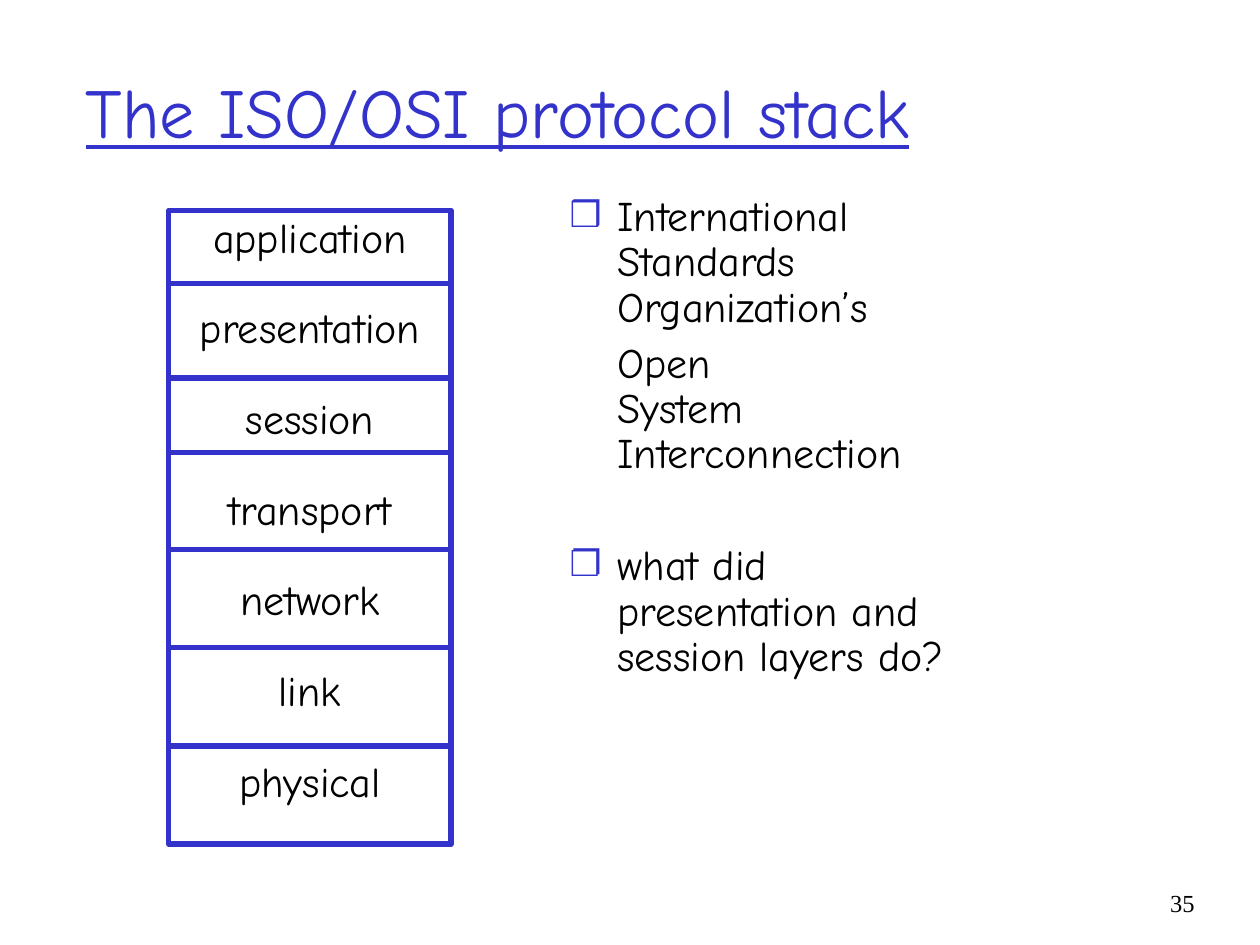
import pptx
import pptx.util
import pptx.dml.color
import pptx.enum.shapes
import pptx.enum.text
import lxml.etree

TITLE = "The ISO/OSI protocol stack"
LAYERS = ["application", "presentation", "session", "transport",
          "network", "link", "physical"]
# text, bullet, space before in points
NOTES = [
    ("International Standards Organization’s", "❒", 0),
    ("Open", None, 6),
    ("System Interconnection", None, 0),
    ("what did presentation and session layers do?", "❐", 38),
]
PAGE_NUMBER = "35"

BLUE, BLACK, WHITE = "3333CC", "000000", "FFFFFF"
HAND = "Comic Neue"
HANG = 0.38
LINE_PITCH = 25.9  # height of one 24 pt line at 0.9 spacing
STACK = (1.34, 1.67, 2.24, 5.03)
DIVIDERS = [2.25, 3, 3.59, 4.36, 5.14, 5.92]
ALIGN = pptx.enum.text.PP_ALIGN


def color(code):
    return pptx.dml.color.RGBColor.from_string(code)


def inches(*lengths):
    return [pptx.util.Inches(length) for length in lengths]


def place(shape, box, anchor=pptx.enum.text.MSO_ANCHOR.TOP):
    shape.left, shape.top, shape.width, shape.height = inches(*box)
    frame = shape.text_frame
    frame.word_wrap = True
    frame.auto_size = pptx.enum.text.MSO_AUTO_SIZE.NONE
    frame.vertical_anchor = anchor
    return frame


def write(frame, text, size=24, font=HAND, ink=BLACK, align=ALIGN.LEFT,
          underline=None, spacing=0.9, before=0, bullet=None, hang=0):
    paragraph = frame.paragraphs[0]
    if paragraph.runs:
        paragraph = frame.add_paragraph()
    properties = paragraph._p.get_or_add_pPr()
    properties.set("marL", str(pptx.util.Inches(hang)))
    properties.set("indent", str(-pptx.util.Inches(hang) if bullet else 0))

    def add(parent, tag, **attributes):
        return lxml.etree.SubElement(parent, pptx.oxml.ns.qn(tag), attributes)

    if bullet:
        add(add(properties, "a:buClr"), "a:srgbClr", val=BLUE)
        add(properties, "a:buSzPct", val="85000")
        add(properties, "a:buChar", char=bullet)
    else:
        add(properties, "a:buNone")
    paragraph.alignment = align
    paragraph.line_spacing = spacing
    paragraph.space_before = pptx.util.Pt(before)
    run = paragraph.add_run()
    run.text = text
    run.font.size = pptx.util.Pt(size)
    run.font.name = font
    run.font.underline = underline
    run.font.color.rgb = color(ink)


def outline(shape):
    shape.line.color.rgb = color(BLUE)
    shape.line.width = pptx.util.Pt(3)


deck = pptx.Presentation()
deck.slide_width, deck.slide_height = inches(10, 7.5)
slide = deck.slides.add_slide(deck.slide_layouts[3])
title, layer_names, notes = slide.placeholders

# Title
heading = place(title, (0.58, 0.25, 8.5, 1.25), pptx.enum.text.MSO_ANCHOR.MIDDLE)
write(heading, TITLE, size=40, ink=BLUE, underline=True, spacing=1.0)

# Stack outline and dividers
stack = slide.shapes.add_shape(pptx.enum.shapes.MSO_SHAPE.RECTANGLE, *inches(*STACK))
stack.shadow.inherit = False
stack.fill.solid()
stack.fill.fore_color.rgb = color(WHITE)
outline(stack)
for y in DIVIDERS:
    divider = slide.shapes.add_connector(
        pptx.enum.shapes.MSO_CONNECTOR.STRAIGHT,
        *inches(STACK[0], y, STACK[0] + STACK[2], y))
    outline(divider)
    lxml.etree.SubElement(divider.element.spPr, pptx.oxml.ns.qn("a:effectLst"))

# Layer names, in front of the stack, one line apart
stack.element.addnext(layer_names.element)
names_frame = place(layer_names, (1.17, 1.67, 2.58, 5.08))
for row, layer in enumerate(LAYERS):
    write(names_frame, layer, align=ALIGN.CENTER, before=LINE_PITCH if row else 0)

# Notes on the right
notes_frame = place(notes, (4.42, 1.5, 3.42, 5.08))
for text, bullet, before in NOTES:
    write(notes_frame, text, bullet=bullet, before=before, hang=HANG)

# Page number
number_box = (9.08, 7, 0.5, 0.5)
number = slide.shapes.add_textbox(*inches(*number_box))
write(place(number, number_box), PAGE_NUMBER, size=14, font="Times New Roman",
      align=ALIGN.RIGHT, spacing=1.0)

deck.save("out.pptx")
